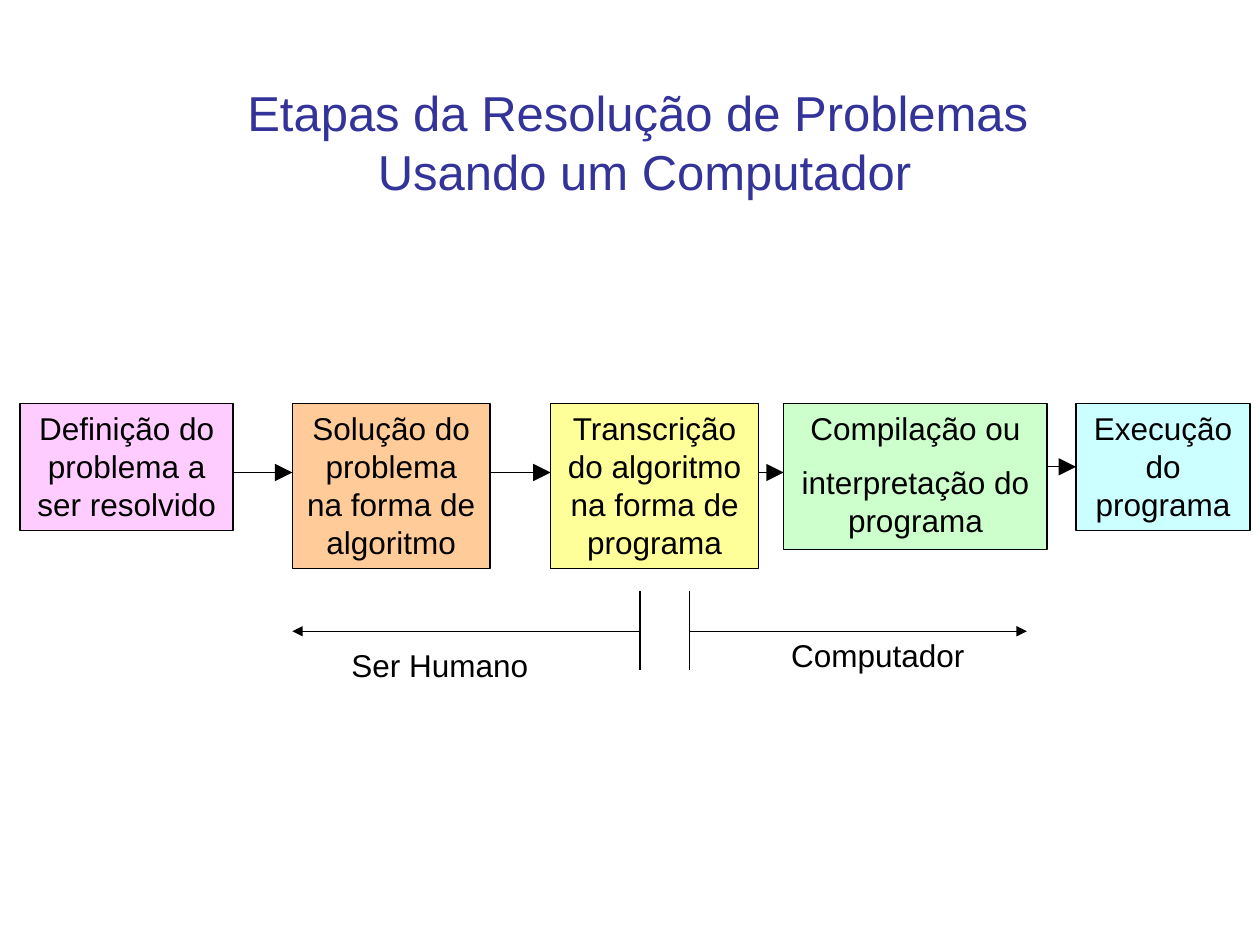
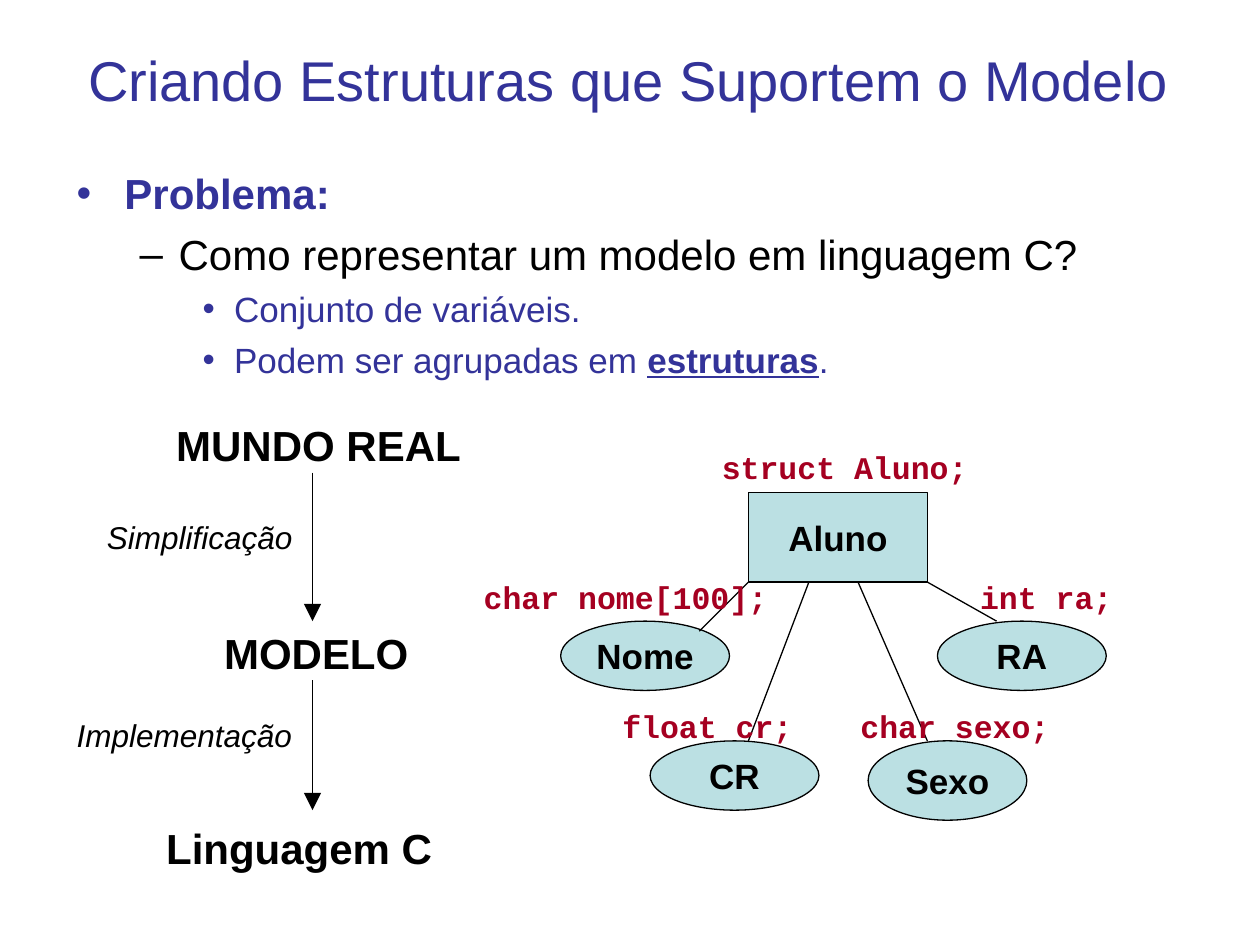
"""Builds two slides: the steps of problem solving and a model expressed as C structures."""
from dataclasses import dataclass

from lxml import etree
from pptx import Presentation
from pptx.dml.color import RGBColor
from pptx.enum.shapes import MSO_CONNECTOR, MSO_SHAPE
from pptx.enum.text import MSO_ANCHOR, PP_ALIGN
from pptx.oxml.ns import qn
from pptx.util import Inches, Pt

STRAIGHT = MSO_CONNECTOR.STRAIGHT
RECTANGLE, OVAL = MSO_SHAPE.RECTANGLE, MSO_SHAPE.OVAL
LEFT, CENTER = PP_ALIGN.LEFT, PP_ALIGN.CENTER
TOP, MIDDLE = MSO_ANCHOR.TOP, MSO_ANCHOR.MIDDLE
LEFT_SIDE = 1


@dataclass(frozen=True)
class Theme:
    sans: str = "Arial"
    mono: str = "Courier New"
    accent: str = "333399"
    ink: str = "000000"
    code: str = "A50021"
    node: str = "BBE0E3"
    label: int = 18
    node_size: int = 20
    stage: int = 24
    thin: float = 0.75
    medium: float = 1


THEME = Theme()

STEPS_TITLE = ["Etapas da Resolução de Problemas ", "Usando um Computador"]
STEP_TOP = 3.2
STEP_ARROW_Y = 3.75
STEPS = [
    (0.16, 1.69, 1.01, "FFCCFF", ["Definição do problema a ser resolvido"]),
    (2.32, 1.57, 1.31, "FFCC99", ["Solução do problema na forma de algoritmo"]),
    (4.37, 1.65, 1.31, "FFFF99", ["Transcrição do algoritmo na forma de programa"]),
    (6.22, 2.09, 1.16, "CCFFCC", ["Compilação ou", "interpretação do programa"]),
    (8.54, 1.38, 1.01, "CCFFFF", ["Execução do programa"]),
]
ACTOR_TICK = (4.69, 5.32)
ACTOR_ARROW_Y = 5.01
ACTORS = [
    ("Ser Humano", (2.69, 5.08, 1.6, 0.4), 5.08, 2.32),
    ("Computador", (6.18, 5, 1.58, 0.4), 5.47, 8.15),
]

MODEL_TITLE = ["Criando Estruturas que Suportem o Modelo"]
BULLETS = [
    (0, [("Problema:", {"bold": True})]),
    (1, [("Como representar um modelo em linguagem C?", {})]),
    (2, [("Conjunto de variáveis.", {})]),
    (2, [("Podem ser agrupadas em ", {}),
         ("estruturas", {"bold": True, "underline": True}), (".", {})]),
]
BULLET_LEVELS = [
    {"mark": "•", "margin": 0.38, "hang": 0.38, "size": 24, "color": THEME.accent, "before": 0},
    {"mark": "–", "margin": 0.81, "hang": 0.31, "size": 24, "color": THEME.ink, "before": 6},
    {"mark": "•", "margin": 1.25, "hang": 0.25, "size": 20, "color": THEME.accent, "before": 5},
]
STAGES = [
    ("MUNDO REAL", (1.3, 3.28, 2.46, 0.5)),
    ("MODELO", (1.68, 4.93, 1.66, 0.5)),
    ("Linguagem C", (1.22, 6.48, 2.31, 0.5)),
]
TRANSITION_X = 2.48
TRANSITIONS = [
    ("Simplificação", (0.75, 4.06, 1.67, 0.4), 3.75, 4.93),
    ("Implementação", (0.51, 5.63, 1.91, 0.4), 5.4, 6.43),
]
NODES = [
    ("Aluno", RECTANGLE, (5.94, 3.91, 1.42, 0.71)),
    ("Nome", OVAL, (4.45, 4.93, 1.34, 0.55)),
    ("RA", OVAL, (7.44, 4.93, 1.34, 0.55)),
    ("CR", OVAL, (5.16, 5.88, 1.34, 0.55)),
    ("Sexo", OVAL, (6.89, 5.88, 1.26, 0.63)),
]
BRANCH_TOP = 4.62
BRANCHES = [(5.94, 5.55, 5.01), (6.42, 5.94, 5.88), (6.81, 7.36, 5.88), (7.36, 7.91, 4.93)]
DECLARATIONS = [
    ("struct Aluno;", (5.63, 3.51, 2.52, 0.4)),
    ("char nome[100];", (3.74, 4.54, 2.52, 0.4)),
    ("int ra;", (7.68, 4.54, 1.81, 0.4)),
    ("float cr;", (4.84, 5.56, 1.81, 0.4)),
    ("char sexo;", (6.73, 5.56, 1.81, 0.4)),
]


def add_run(paragraph, text, size, color=THEME.ink, font=THEME.sans,
            bold=False, italic=False, underline=False):
    run = paragraph.add_run()
    run.text = text
    run.font.name = font
    run.font.size = Pt(size)
    run.font.bold = bold
    run.font.italic = italic
    run.font.underline = underline
    run.font.color.rgb = RGBColor.from_string(color)


def write_text(shape, texts, size, align=LEFT, anchor=TOP, wrap=True, **style):
    frame = shape.text_frame
    frame.word_wrap = wrap
    frame.vertical_anchor = anchor
    for index, text in enumerate(texts):
        paragraph = frame.add_paragraph() if index else frame.paragraphs[0]
        paragraph.alignment = align
        if index:
            paragraph.space_before = Pt(size / 2)
        add_run(paragraph, text, size, **style)


def add_textbox(slide, box):
    return slide.shapes.add_textbox(*map(Inches, box))


def add_label(slide, text, box, size=THEME.label, **style):
    write_text(add_textbox(slide, box), [text], size, **style)


def add_title(slide, lines, box, size):
    shape = add_textbox(slide, box)
    write_text(shape, lines[:1], size, align=CENTER, anchor=MIDDLE, color=THEME.accent)
    paragraph = shape.text_frame.paragraphs[0]
    for line in lines[1:]:
        paragraph.add_line_break()
        add_run(paragraph, line, size, color=THEME.accent)


def add_figure(slide, kind, box, fill):
    shape = slide.shapes.add_shape(kind, *map(Inches, box))
    shape.shadow.inherit = False
    shape.fill.solid()
    shape.fill.fore_color.rgb = RGBColor.from_string(fill)
    shape.line.color.rgb = RGBColor.from_string(THEME.ink)
    shape.line.width = Pt(THEME.thin)
    return shape


def add_line(slide, start, end, width=THEME.thin, head=None):
    connector = slide.shapes.add_connector(STRAIGHT, *map(Inches, (*start, *end)))
    connector.line.color.rgb = RGBColor.from_string(THEME.ink)
    connector.line.width = Pt(width)
    if head:
        etree.SubElement(connector.line._get_or_add_ln(), qn("a:tailEnd"),
                         type="triangle", w=head, len=head)
    etree.SubElement(connector._element.spPr, qn("a:effectLst"))
    return connector


def add_bullets(slide, box):
    frame = add_textbox(slide, box).text_frame
    frame.word_wrap = True
    for index, (level, runs) in enumerate(BULLETS):
        look = BULLET_LEVELS[level]
        paragraph = frame.add_paragraph() if index else frame.paragraphs[0]
        paragraph.level = level
        properties = paragraph._p.get_or_add_pPr()
        properties.set("marL", str(Inches(look["margin"])))
        properties.set("indent", str(-Inches(look["hang"])))
        etree.SubElement(properties, qn("a:buFont"), typeface=THEME.sans)
        etree.SubElement(properties, qn("a:buChar"), char=look["mark"])
        if look["before"]:
            paragraph.space_before = Pt(look["before"])
        for text, style in runs:
            add_run(paragraph, text, look["size"], color=look["color"], **style)


def build_steps_slide(slide):
    add_title(slide, STEPS_TITLE, (0.5, 0.3, 9.23, 1.64), 28)
    step_shapes = []
    for left, width, height, fill, texts in STEPS:
        shape = add_figure(slide, RECTANGLE, (left, STEP_TOP, width, height), fill)
        write_text(shape, texts, THEME.label, align=CENTER)
        step_shapes.append(shape)
    last = len(STEPS) - 1
    for index in range(1, len(STEPS)):
        previous_left, previous_width = STEPS[index - 1][:2]
        left, _, height = STEPS[index][:3]
        y = STEP_TOP + height / 2 if index == last else STEP_ARROW_Y
        arrow = add_line(slide, (previous_left + previous_width, y), (left, y), head="lg")
        if index == last:
            arrow.end_connect(step_shapes[index], LEFT_SIDE)
    tick_top, tick_bottom = ACTOR_TICK
    for name, box, tick_x, tip_x in ACTORS:
        add_label(slide, name, box, wrap=False)
        add_line(slide, (tick_x, tick_top), (tick_x, tick_bottom))
        add_line(slide, (tick_x, ACTOR_ARROW_Y), (tip_x, ACTOR_ARROW_Y), head="med")


def build_model_slide(slide):
    add_title(slide, MODEL_TITLE, (0.49, 0, 9, 1.25), 32)
    add_bullets(slide, (0.51, 1.28, 9, 2))
    for text, box in STAGES:
        add_label(slide, text, box, THEME.stage, wrap=False, bold=True)
    for text, box, top, bottom in TRANSITIONS:
        add_label(slide, text, box, wrap=False, italic=True)
        add_line(slide, (TRANSITION_X, top), (TRANSITION_X, bottom), THEME.medium, "lg")
    for text, kind, box in NODES:
        shape = add_figure(slide, kind, box, THEME.node)
        write_text(shape, [text], THEME.node_size, align=CENTER, anchor=MIDDLE,
                   wrap=False, bold=True)
    for start_x, end_x, end_y in BRANCHES:
        add_line(slide, (start_x, BRANCH_TOP), (end_x, end_y))
    for text, box in DECLARATIONS:
        add_label(slide, text, box, font=THEME.mono, color=THEME.code, bold=True)


def main():
    presentation = Presentation()
    presentation.slide_width = Inches(10)
    presentation.slide_height = Inches(7.5)
    blank = presentation.slide_layouts[6]
    for build in (build_steps_slide, build_model_slide):
        build(presentation.slides.add_slide(blank))
    presentation.save("out.pptx")


if __name__ == "__main__":
    main()
